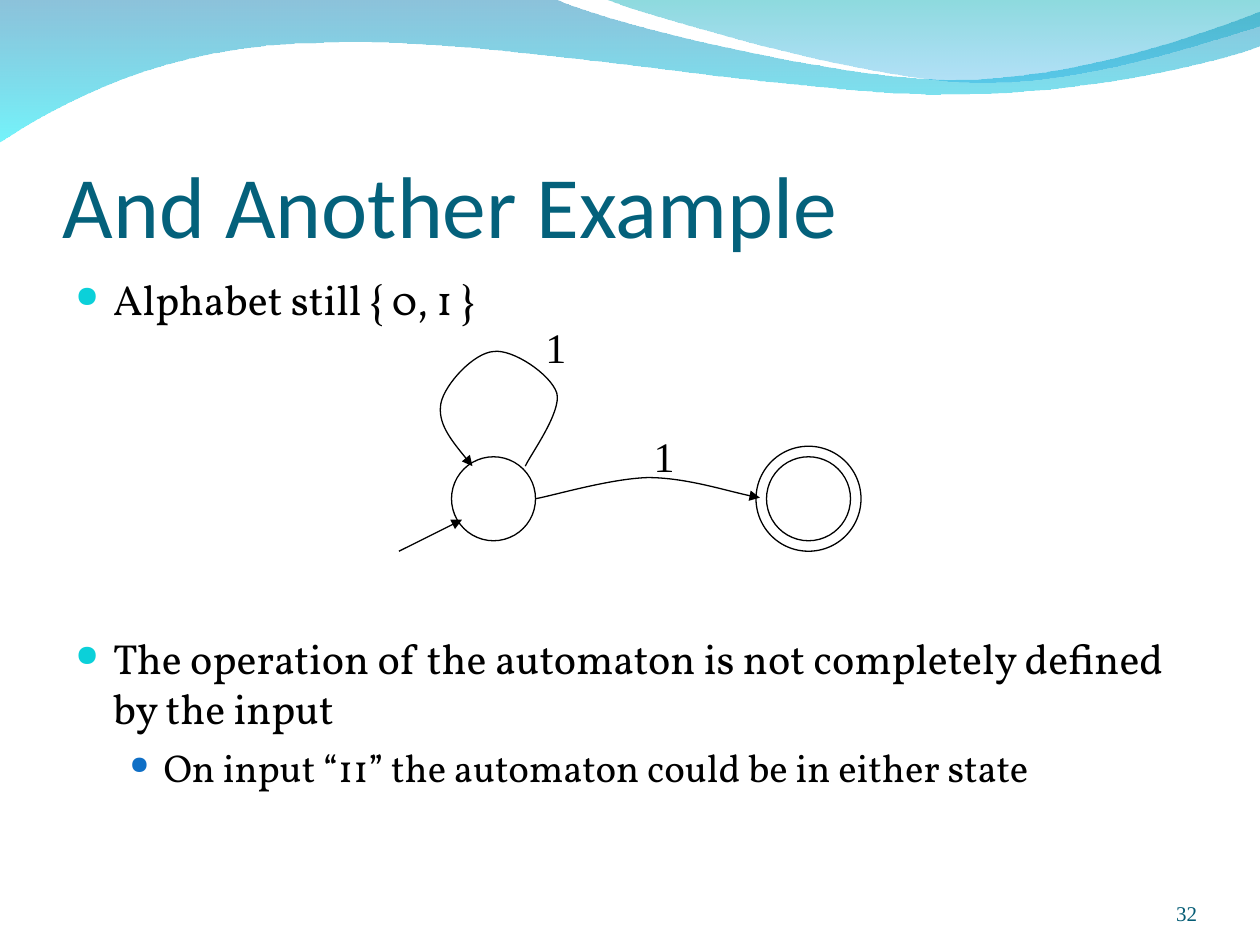
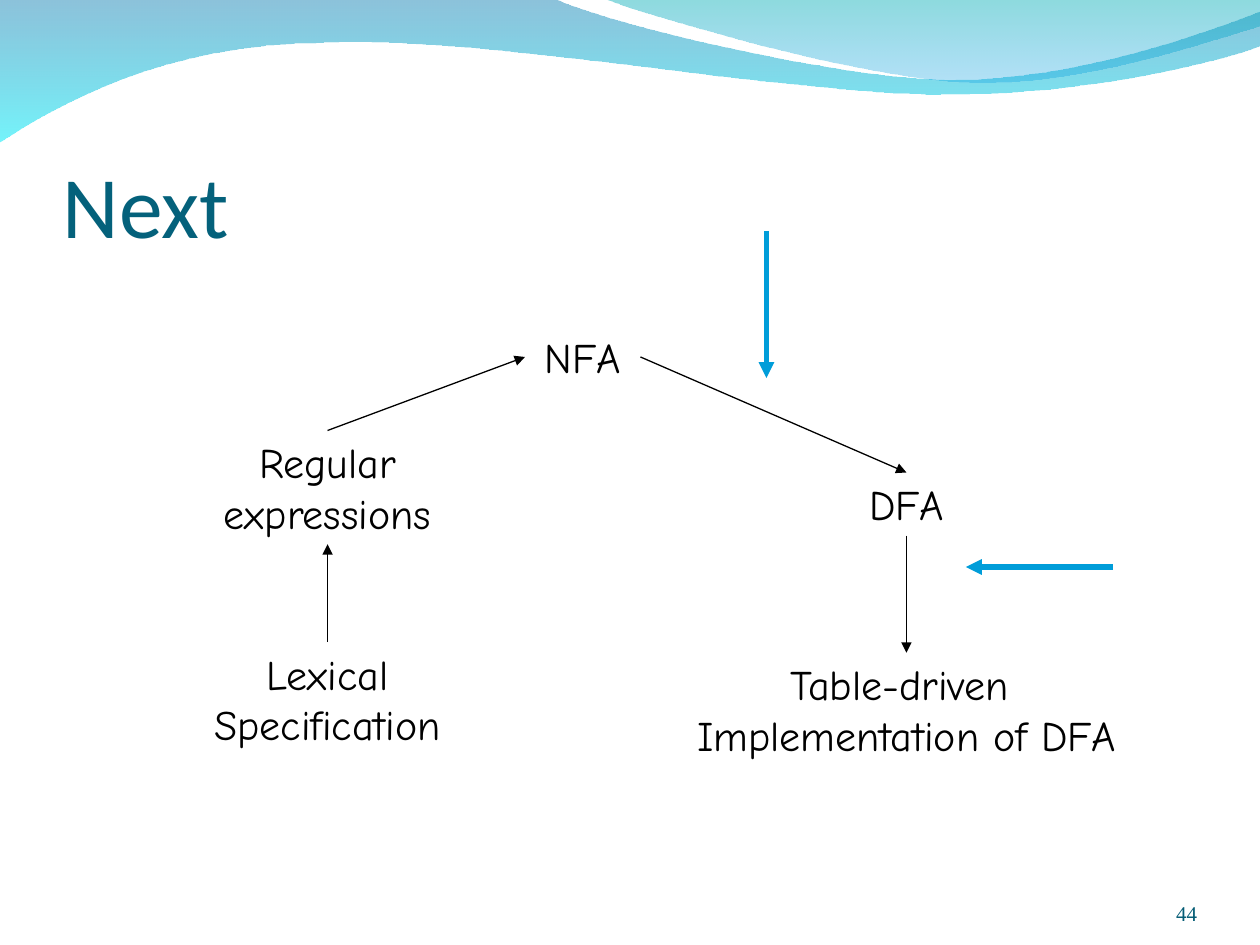
"""Build two lecture slides on nondeterministic automata and the route to a table-driven DFA."""
from dataclasses import dataclass
from typing import Any, NamedTuple

from lxml.etree import SubElement
from pptx import Presentation
from pptx.dml.color import RGBColor
from pptx.enum.shapes import MSO_CONNECTOR as Connector, MSO_SHAPE as Shape
from pptx.enum.text import MSO_ANCHOR as Anchor, PP_ALIGN as Align
from pptx.oxml.ns import qn
from pptx.util import Pt

COLORS = {
    "ink": "000000",
    "title": "04617B",
    "number": "045C75",
    "bullet": "0BD0D9",
    "sub_bullet": "0F6FC6",
    "highlight": "009DD9",
    "wave_top": "0079AF",
    "wave_bottom": "00EBF8",
    "crest_top": "00ADB6",
    "crest_bottom": "009BE5",
}
TOP, LEFT, BOTTOM, RIGHT = range(4)
STATE_SIZE, RING_SIZE = 48, 60
START_X, ACCEPT_X, STATE_Y = 282, 462, 285

Point = tuple[float, float]


class Box(NamedTuple):
    left: float
    top: float
    width: float
    height: float


class Stop(NamedTuple):
    color: str
    alpha: int


class Bullet(NamedTuple):
    text: str
    size: float
    before: float
    margin: float
    hanging: float
    color: str
    percent: int


@dataclass(frozen=True)
class TextStyle:
    font: str
    size: float
    color: str = "ink"
    align: Align = Align.LEFT
    anchor: Anchor = Anchor.TOP
    insets: tuple[float, float, float, float] = (7.2, 3.6, 7.2, 3.6)
    wrap: bool = True


@dataclass(frozen=True)
class Curve:
    """Start point, then segments of one point (line) or three points (cubic)."""
    start: Point
    segments: tuple[tuple[Point, ...], ...]
    closed: bool = False


@dataclass(frozen=True)
class Wave:
    outline: Curve
    stops: tuple[Stop, Stop]


@dataclass(frozen=True)
class Stage:
    text: str
    center: float
    top: float
    width: float
    height: float


TITLE = TextStyle("Calibri", 50, "title", anchor=Anchor.BOTTOM, insets=(0, 3.6, 0, 0))
NUMBER = TextStyle("Times New Roman", 12, "number", Align.RIGHT, Anchor.BOTTOM, (0, 0, 0, 0))
BODY = TextStyle("Vollkorn", 24)
SYMBOL = TextStyle("Times New Roman", 24, wrap=False)
STAGE = TextStyle("Comic Neue", 24, align=Align.CENTER, wrap=False)

WAVES = (
    Wave(Curve((0, -0.7), (
        ((316.8, -0.7),),
        ((342.7, 12.2), (478.1, 45.4), (545.8, 45.4)),
        ((614.2, 45.4), (689.8, 18.7), (720, 6.5)),
        ((720.7, 25.9),),
        ((707.8, 31.7), (626.4, 54.7), (537.1, 54)),
        ((447.8, 54), (275, 20.2), (185, 24.5)),
        ((92.9, 25.2), (33.1, 59.8), (-0.7, 81.4)),
    ), True), (Stop("wave_top", 45), Stop("wave_bottom", 55))),
    Wave(Curve((344.9, -0.7), (
        ((366.5, 7.9), (491, 44.6), (553.7, 46.8)),
        ((616.3, 49.7), (691.9, 23), (720, 15.1)),
        ((720, 0),),
    ), True), (Stop("crest_top", 45), Stop("crest_bottom", 30))),
)
TRANSITIONS = (
    Curve((306, 285), (
        ((316.8, 283), (348.5, 273.6), (370.1, 272.9)),
        ((391.7, 272.9), (420.5, 282.2), (434.2, 284.4)),
    )),
    Curve((300.2, 266.4), (
        ((303.1, 259.9), (321.1, 235.4), (318.2, 224.6)),
        ((314.6, 213.8), (293, 199.4), (282.2, 200.9)),
        ((270.7, 201.6), (254.2, 219.6), (252, 230.4)),
        ((249.8, 241.9), (259.9, 254.2), (270, 266.4)),
    )),
)
SYMBOL_BOXES = (Box(366.5, 242.6, 25.9, 36), Box(304.6, 180, 25.9, 36))
BULLETS = (
    Bullet("Alphabet still { 0, 1 }", 24, 6.5, 21.6, 21.6, "bullet", 71),
    Bullet("The operation of the automaton is not completely defined by the input",
           24, 176.5, 21.6, 21.6, "bullet", 71),
    Bullet("On input “11” the automaton could be in either state",
           22.2, 6, 50.4, 19.4, "sub_bullet", 64),
)
STAGES = {
    "regex": Stage("Regular\nexpressions", 187.2, 246, 150, 65),
    "nfa": Stage("NFA", 333, 186, 66, 36),
    "dfa": Stage("DFA", 518, 270, 66, 36),
    "lexical": Stage("Lexical\nSpecification", 187.2, 367, 160, 65),
    "table": Stage("Table-driven \nImplementation of DFA", 518, 373, 270, 65),
}
STEPS = (
    ("lexical", TOP, "regex", BOTTOM),
    ("regex", TOP, "nfa", LEFT),
    ("nfa", RIGHT, "dfa", TOP),
    ("dfa", BOTTOM, "table", TOP),
)
HIGHLIGHTS = (((438, 132), (438, 216)), ((636, 324), (552, 324)))


def rgb(name: str) -> RGBColor:
    """Look up a palette colour."""
    return RGBColor.from_string(COLORS[name])


def apply_format(target: Any, values: dict[str, Any]) -> None:
    """Set each named attribute on the target."""
    for name, value in values.items():
        setattr(target, name, value)


def style_text(frame: Any, style: TextStyle) -> None:
    """Format a text frame and all its paragraphs."""
    left, top, right, bottom = map(Pt, style.insets)
    apply_format(frame, {
        "margin_left": left, "margin_top": top, "margin_right": right,
        "margin_bottom": bottom, "word_wrap": style.wrap,
        "vertical_anchor": style.anchor,
    })
    for paragraph in frame.paragraphs:
        paragraph.alignment = style.align
        for run in paragraph.runs:
            apply_format(run.font, {"name": style.font, "size": Pt(style.size)})
            run.font.color.rgb = rgb(style.color)


def add_text(slide: Any, text: str, box: Box, style: TextStyle) -> Any:
    """Add a styled text box with one paragraph per line."""
    holder = slide.shapes.add_textbox(*map(Pt, box))
    holder.text_frame.text = text
    style_text(holder.text_frame, style)
    return holder


def draw_stroke(shape: Any, color: str = "ink", width: float = 0.75,
                arrow: bool = False) -> None:
    """Set the line of a shape, with an arrowhead at its end if asked."""
    shape.line.color.rgb = rgb(color)
    shape.line.width = Pt(width)
    if arrow:
        SubElement(shape.get_or_add_ln(), qn("a:tailEnd"), type="triangle")


def add_curve(slide: Any, curve: Curve) -> Any:
    """Add a freeform made of lines and cubic curves."""
    points = [(Pt(x), Pt(y)) for segment in curve.segments for x, y in segment]
    builder = slide.shapes.build_freeform(*map(Pt, curve.start))
    builder.add_line_segments(points, close=curve.closed)
    shape = builder.convert_to_shape()
    shape.shadow.inherit = False
    steps = iter(list(shape.element.iter(qn("a:lnTo"))))
    for segment in curve.segments:
        first, *others = [next(steps) for _ in segment]
        if others:
            first.tag = qn("a:cubicBezTo")
            for step in others:
                first.append(step[0])
                step.getparent().remove(step)
    return shape


def add_wave(slide: Any, wave: Wave) -> None:
    """Add a translucent band with a vertical gradient."""
    band = add_curve(slide, wave.outline)
    band.line.fill.background()
    band.fill.gradient()
    band.fill.gradient_angle = 270
    for position, (target, stop) in enumerate(zip(band.fill.gradient_stops, wave.stops)):
        target.color.rgb = rgb(stop.color)
        target.position = position
    for color, stop in zip(band.element.spPr.iter(qn("a:srgbClr")), wave.stops):
        SubElement(color, qn("a:alpha"), val=str(stop.alpha * 1000))


def add_arrow(slide: Any, start: Point, end: Point, color: str = "ink",
              width: float = 0.75) -> Any:
    """Add a straight arrow."""
    arrow = slide.shapes.add_connector(Connector.STRAIGHT, *map(Pt, (*start, *end)))
    draw_stroke(arrow, color, width, arrow=True)
    SubElement(arrow.element.spPr, qn("a:effectLst"))
    return arrow


def add_state(slide: Any, x: float, size: float) -> None:
    """Add an unfilled circle centred on the state row."""
    box = Box(x - size / 2, STATE_Y - size / 2, size, size)
    circle = slide.shapes.add_shape(Shape.OVAL, *map(Pt, box))
    circle.shadow.inherit = False
    circle.fill.background()
    draw_stroke(circle)


def add_bullets(slide: Any, bullets: tuple[Bullet, ...], box: Box) -> None:
    """Add the bulleted body text."""
    body = add_text(slide, "\n".join(b.text for b in bullets), box, BODY)
    for paragraph, bullet in zip(body.text_frame.paragraphs, bullets):
        paragraph.space_before = Pt(bullet.before)
        paragraph.runs[0].font.size = Pt(bullet.size)
        props = paragraph._p.get_or_add_pPr()
        props.set("marL", str(Pt(bullet.margin)))
        props.set("indent", str(-Pt(bullet.hanging)))
        color = SubElement(props, qn("a:buClr"))
        SubElement(color, qn("a:srgbClr"), val=COLORS[bullet.color])
        SubElement(props, qn("a:buSzPct"), val=str(bullet.percent * 1000))
        SubElement(props, qn("a:buChar"), char="●")


def add_base(deck: Any, title: str, number: str) -> Any:
    """Add a slide with the waves, its number and its title."""
    slide = deck.slides.add_slide(deck.slide_layouts[6])
    for wave in WAVES:
        add_wave(slide, wave)
    add_text(slide, number, Box(624, 500.4, 60, 28.8), NUMBER)
    add_text(slide, title, Box(36, 56, 648, 90), TITLE)
    return slide


def build_example(deck: Any) -> None:
    """Build the automaton example."""
    slide = add_base(deck, "And Another Example", "32")
    add_bullets(slide, BULLETS, Box(36, 152.6, 648, 345.6))
    for x, size in ((ACCEPT_X, STATE_SIZE), (ACCEPT_X, RING_SIZE), (START_X, STATE_SIZE)):
        add_state(slide, x, size)
    add_arrow(slide, (228, 315), (264, 297))
    for transition, box in zip(TRANSITIONS, SYMBOL_BOXES):
        edge = add_curve(slide, transition)
        edge.fill.background()
        draw_stroke(edge, arrow=True)
        add_text(slide, "1", box, SYMBOL)


def build_next(deck: Any) -> None:
    """Build the route from specification to implementation."""
    slide = add_base(deck, "Next", "44")
    placed = {
        key: add_text(slide, stage.text, Box(stage.center - stage.width / 2, stage.top,
                                             stage.width, stage.height), STAGE)
        for key, stage in STAGES.items()
    }
    for source, source_side, target, target_side in STEPS:
        step = add_arrow(slide, (0, 0), (0, 0))
        step.begin_connect(placed[source], source_side)
        step.end_connect(placed[target], target_side)
    for start, end in HIGHLIGHTS:
        add_arrow(slide, start, end, "highlight", 3)


def main() -> None:
    """Create and save the deck."""
    deck = Presentation()
    apply_format(deck, {"slide_width": Pt(720), "slide_height": Pt(540)})
    build_example(deck)
    build_next(deck)
    deck.save("out.pptx")


if __name__ == "__main__":
    main()
